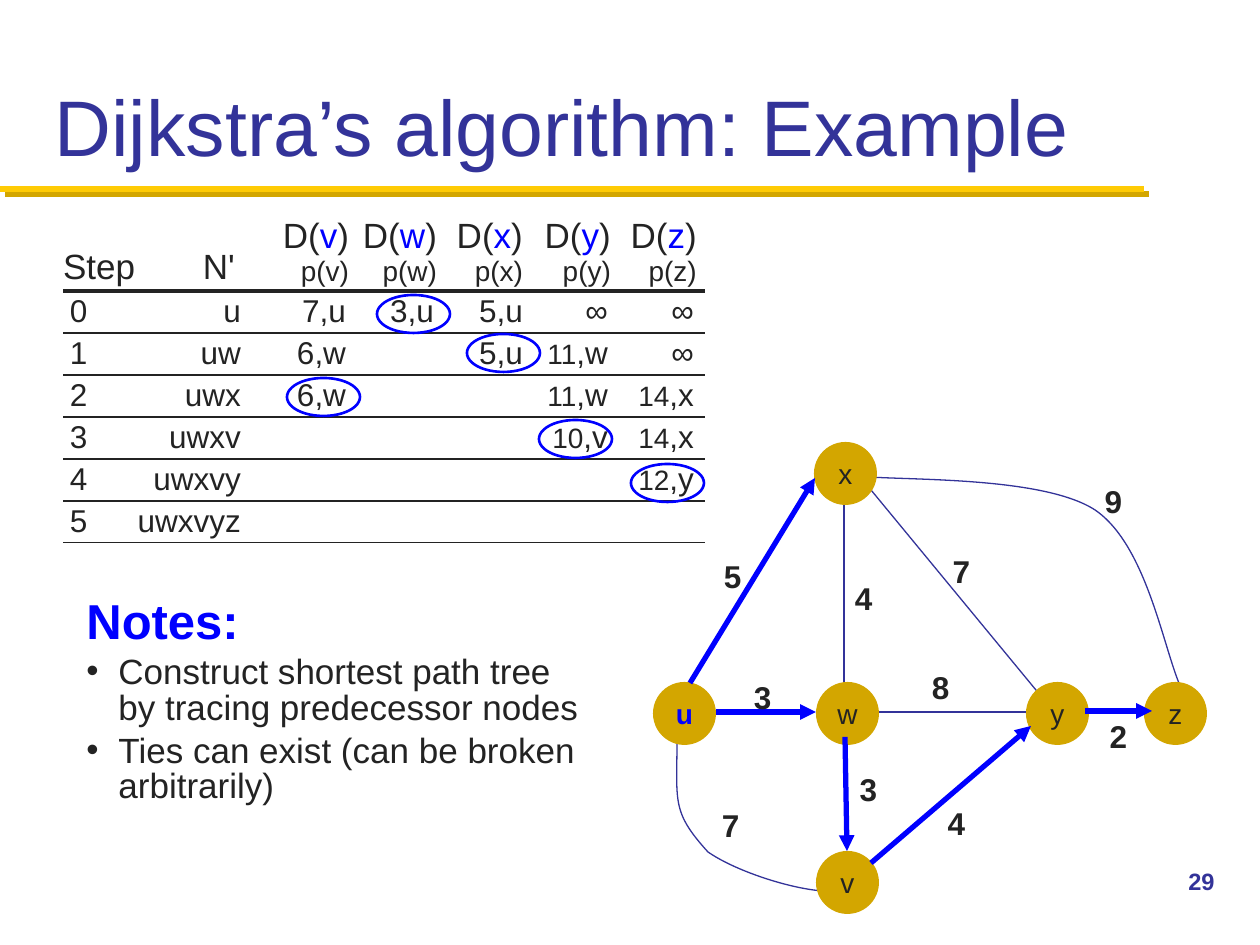
from lxml.etree import SubElement
from pptx import Presentation
from pptx.dml.color import RGBColor
from pptx.enum.shapes import MSO_CONNECTOR, MSO_SHAPE
from pptx.enum.text import MSO_ANCHOR, PP_ALIGN
from pptx.oxml import parse_xml
from pptx.oxml.ns import nsdecls, qn
from pptx.util import Pt

EMU_PER_PX = 914400 / 126
FONT = "Arial"
NAVY = RGBColor(0x33, 0x33, 0x99)
BLUE = RGBColor(0x00, 0x00, 0xFF)
INK = RGBColor(0x23, 0x23, 0x23)
GOLD = RGBColor(0xD3, 0xA6, 0x00)
YELLOW = RGBColor(0xFF, 0xCB, 0x05)
NO_STYLE_NO_GRID = "{2D5ABB26-0587-4C30-8999-92F81FD0307C}"

TITLE = "Dijkstra’s algorithm: Example"
TARGETS = ["v", "w", "x", "y", "z"]
STEPS = [
    ["0", "u", "7,u", "3,u", "5,u", "∞", "∞"],
    ["1", "uw", "6,w", "", "5,u", "11,w", "∞"],
    ["2", "uwx", "6,w", "", "", "11,w", "14,x"],
    ["3", "uwxv", "", "", "", "10,v", "14,x"],
    ["4", "uwxvy", "", "", "", "", "12,y"],
    ["5", "uwxvyz", "", "", "", "", ""],
]
COLUMN_WIDTHS = [73, 107, 114, 88, 86, 88, 86]
HEADER_MARGINS = [0, 8, 8, 8, 8, 8, 8]
STEP_MARGINS = [0, 2, 11, 11, 8, 11, 11]
TABLE_LEFT, TABLE_TOP, HEADER_HEIGHT, ROW_HEIGHT = 63, 211, 80, 42
RINGS = [(377, 295), (467, 334), (287, 378), (539, 420), (631, 464)]

NODE_SIZE = 63
NODES = {"x": (814, 442), "u": (653, 682), "z": (1144, 682),
         "v": (816, 851), "y": (1026, 682), "w": (816, 682)}
PLAIN_EDGES = [((844, 491), (844, 689)), ((857, 473), (1050, 707)),
               ((877, 712), (1028, 712))]
CURVED_EDGES = [  # start, then two controls and an end for each segment
    [(677, 727), (678, 801), (669, 809), (708, 852),
     (747, 879), (837, 902), (848, 886)],
    [(857, 476), (896, 481), (1041, 475), (1095, 510),
     (1148, 546), (1164, 653), (1182, 690)],
]
TREE_EDGES = [((1085, 711), (1152, 711)), ((871, 863), (1031, 726)),
              ((845, 737), (847, 851)), ((690, 683), (815, 478)),
              ((716, 712), (816, 712))]
WEIGHTS = [("3", 741, 672), ("4", 842, 573), ("5", 711, 551), ("3", 847, 764),
           ("7", 709, 800), ("4", 935, 798), ("8", 919, 662), ("2", 1097, 711),
           ("7", 940, 546), ("9", 1092, 476)]
NOTES = ["Notes:", "Construct shortest path tree by tracing predecessor nodes",
         "Ties can exist (can be broken arbitrarily)"]


def px(length):
    return round(length * EMU_PER_PX)


def style(font, size, color=INK, bold=False):
    font.name, font.size, font.bold = FONT, Pt(size), bold
    font.color.rgb = color


def add_span(para, text, size, color=INK):
    span = para.add_run()
    span.text = text
    style(span.font, size, color)


def add_line(page, start, end, color, width, arrow=False):
    line = page.shapes.add_connector(
        MSO_CONNECTOR.STRAIGHT, *map(px, (*start, *end)))
    line.line.color.rgb, line.line.width = color, Pt(width)
    if arrow:
        SubElement(line.line._get_or_add_ln(), qn("a:tailEnd"), type="triangle")
    SubElement(line._element.spPr, qn("a:effectLst"))
    return line


def add_ellipse(page, left, top, width, height):
    ellipse = page.shapes.add_shape(
        MSO_SHAPE.OVAL, *map(px, (left, top, width, height)))
    ellipse.shadow.inherit = False
    return ellipse


def add_text(page, text, at, size, color=INK, bold=False):
    box = page.shapes.add_textbox(*map(px, at))
    box.text_frame.word_wrap = True
    box.text_frame.text = text
    style(box.text_frame.paragraphs[0].runs[0].font, size, color, bold)
    return box


def add_curve(page, points):
    """Draw a chain of cubic Bezier segments."""
    builder = page.shapes.build_freeform(*points[0], scale=EMU_PER_PX)
    builder.add_line_segments(points[1:], close=False)
    curve = builder.convert_to_shape()
    curve.shadow.inherit = False
    curve.fill.background()
    curve.line.color.rgb, curve.line.width = NAVY, Pt(0.75)
    lines = list(curve._element.iter(qn("a:lnTo")))
    outline = lines[0].getparent()
    for first in range(0, len(lines), 3):
        bezier = SubElement(outline, qn("a:cubicBezTo"))
        for line in lines[first:first + 3]:
            bezier.append(line[0])
            outline.remove(line)


def add_border(cell, side, width):
    cell._tc.get_or_add_tcPr().insert(0, parse_xml(
        f'<a:{side} {nsdecls("a")} w="{Pt(width)}"><a:solidFill>'
        f'<a:srgbClr val="{INK}"/></a:solidFill></a:{side}>'))


def fill_header(cell, column):
    para = cell.text_frame.paragraphs[0]
    if column < 2:
        add_span(para, ["Step", "N'"][column], 20)
        return
    name = TARGETS[column - 2]
    for text, color in (("D(", INK), (name, BLUE), (")", INK)):
        add_span(para, text, 20, color)
    add_span(cell.text_frame.add_paragraph(), f"p({name})", 16)


def fill_step(cell, text):
    """Write one entry, with distances of two digits a little smaller."""
    distance, comma, via = text.partition(",")
    para = cell.text_frame.paragraphs[0]
    if comma and len(distance) > 1:
        add_span(para, distance, 16)
        add_span(para, comma + via, 18)
    elif text:
        add_span(para, text, 18)


def add_steps_table(page):
    frame = page.shapes.add_table(
        len(STEPS) + 1, len(COLUMN_WIDTHS), px(TABLE_LEFT), px(TABLE_TOP),
        px(sum(COLUMN_WIDTHS)), px(HEADER_HEIGHT + ROW_HEIGHT * len(STEPS)))
    table = frame.table
    table.first_row = table.horz_banding = False
    next(frame._element.iter(qn("a:tableStyleId"))).text = NO_STYLE_NO_GRID
    for column, width in zip(table.columns, COLUMN_WIDTHS):
        column.width = px(width)
    for number, row in enumerate(table.rows):
        header = number == 0
        row.height = px(HEADER_HEIGHT if header else ROW_HEIGHT)
        margins = HEADER_MARGINS if header else STEP_MARGINS
        for column, cell in enumerate(row.cells):
            cell.margin_top = 0
            cell.margin_left = px(7 if column == 0 and not header else 0)
            cell.margin_right = px(margins[column])
            cell.margin_bottom = px(4 if header else 0)
            cell.vertical_anchor = MSO_ANCHOR.BOTTOM if header else MSO_ANCHOR.MIDDLE
            if header:
                fill_header(cell, column)
            else:
                fill_step(cell, STEPS[number - 1][column])
            for para in cell.text_frame.paragraphs:
                para.alignment = PP_ALIGN.RIGHT if column else PP_ALIGN.LEFT
            cell.fill.background()
            add_border(cell, "lnB", 2.25 if header else 1)
            if not header:
                add_border(cell, "lnT", 2.25 if number == 1 else 1)


def add_graph(page):
    for start, end in PLAIN_EDGES:
        add_line(page, start, end, NAVY, 0.75)
    for points in CURVED_EDGES:
        add_curve(page, points)
    for name, (left, top) in NODES.items():
        node = add_ellipse(page, left, top, NODE_SIZE, NODE_SIZE)
        node.fill.solid()
        node.fill.fore_color.rgb = GOLD
        node.line.fill.background()
        node.text_frame.text = name
        node.text_frame.word_wrap = False
        para = node.text_frame.paragraphs[0]
        para.alignment = PP_ALIGN.CENTER
        source = name == "u"
        style(para.runs[0].font, 16, BLUE if source else INK, source)
    for start, end in TREE_EDGES:
        add_line(page, start, end, BLUE, 3, arrow=True)
    for weight, left, top in WEIGHTS:
        label = add_text(page, weight, (left, top, 43, 50), 18, bold=True)
        label.text_frame.word_wrap = False
        label.text_frame.paragraphs[0].alignment = PP_ALIGN.CENTER


def add_notes(page):
    box = add_text(page, NOTES[0], (74, 593, 525, 330), 28, BLUE, True)
    box.text_frame.paragraphs[0].line_spacing = 0.85
    for note in NOTES[1:]:
        para = box.text_frame.add_paragraph()
        para.text = note
        para.line_spacing, para.space_before = 0.85, Pt(4)
        properties = para._p.get_or_add_pPr()
        properties.set("marL", str(px(32)))
        properties.set("indent", str(px(-32)))
        SubElement(properties, qn("a:buFont"), typeface=FONT)
        SubElement(properties, qn("a:buChar"), char="•")
        style(para.runs[0].font, 20)


def add_title(page):
    rule = add_line(page, (0, 189), (1144, 189), YELLOW, 3.5)
    shadow = SubElement(rule._element.spPr.find(qn("a:effectLst")),
                        qn("a:outerShdw"), dist=str(Pt(4.2)), dir="2700000")
    SubElement(shadow, qn("a:srgbClr"), val=str(GOLD))
    title = page.shapes.title
    title.left, title.top, title.width, title.height = map(px, (42, 21, 1176, 158))
    title.text_frame.text = TITLE
    title.text_frame.vertical_anchor = MSO_ANCHOR.BOTTOM
    para = title.text_frame.paragraphs[0]
    para.alignment = PP_ALIGN.LEFT
    style(para.runs[0].font, 45, NAVY)


deck = Presentation()
deck.slide_width, deck.slide_height = px(1260), px(945)
page = deck.slides.add_slide(deck.slide_layouts[5])
add_title(page)
add_graph(page)
add_steps_table(page)
for left, top in RINGS:
    ring = add_ellipse(page, left, top, 73, 38)
    ring.fill.background()
    ring.line.color.rgb, ring.line.width = BLUE, Pt(1.5)
add_notes(page)
add_text(page, "29", (1176, 861, 84, 63), 13.5, NAVY, True)
deck.save("out.pptx")
